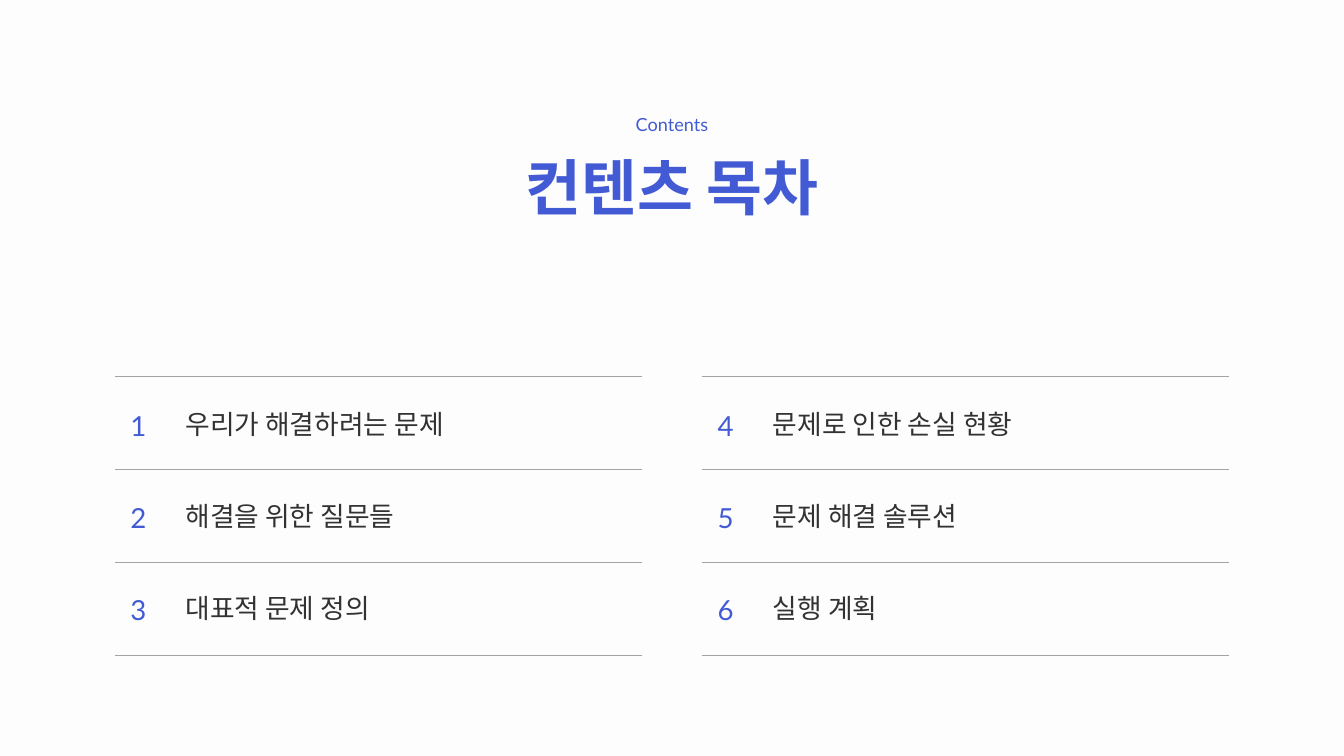
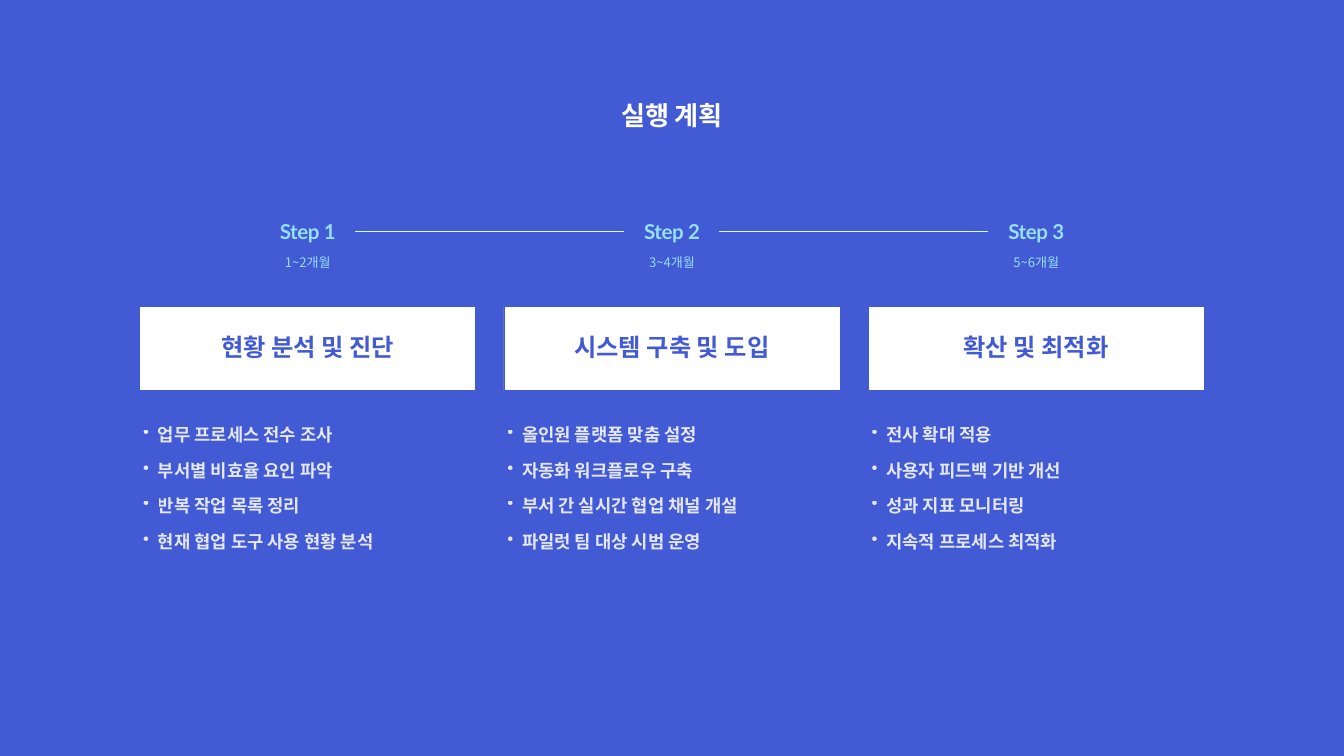
from dataclasses import dataclass

from lxml import etree
from pptx import Presentation
from pptx.dml.color import RGBColor
from pptx.enum.shapes import MSO_CONNECTOR, MSO_SHAPE
from pptx.enum.text import MSO_AUTO_SIZE, PP_ALIGN
from pptx.oxml.ns import qn
from pptx.util import Inches, Pt

LEFT, CENTER = PP_ALIGN.LEFT, PP_ALIGN.CENTER
STRAIGHT, RECTANGLE = MSO_CONNECTOR.STRAIGHT, MSO_SHAPE.RECTANGLE
FIT_SHAPE = MSO_AUTO_SIZE.SHAPE_TO_FIT_TEXT


@dataclass(frozen=True)
class Style:
    """Type style: size and line spacing in points, alpha and tracking optional."""
    font: str
    size: float
    leading: float
    color: str
    bold: bool = False
    align: PP_ALIGN = CENTER
    alpha: int = 100
    tracking: float = 0


class Theme:
    """Colours and type styles shared by the slides."""
    paper, blue, white = "FDFDFD", "425AD4", "FFFFFF"
    ink, sky, rule, link = "323232", "95DFFF", "A3A3A3", "DDFCFF"
    latin, korean = "Lato", "Noto Sans CJK KR"
    hairline = 0.75
    cover_title = Style(korean, 65.1, 78.1, blue, True)
    eyebrow = Style(latin, 19.4, 27.2, blue)
    number = Style(latin, 29.6, 41.5, blue, align=LEFT)
    topic = Style(korean, 28.7, 40.2, ink, align=LEFT)
    title = Style(korean, 28, 39.2, white, True)
    step = Style(latin, 22, 22, sky, True, tracking=-0.4)
    period = Style(korean, 14, 14, sky)
    heading = Style(korean, 26, 31.2, blue, True)
    task = Style(korean, 19, 38, white, True, LEFT, 85)


TOPICS = [
    ["우리가 해결하려는 문제", "해결을 위한 질문들", "대표적 문제 정의"],
    ["문제로 인한 손실 현황", "문제 해결 솔루션", "실행 계획"],
]

STEPS = [
    ("Step 1", "1~2개월", "현황 분석 및 진단",
     ["업무 프로세스 전수 조사", "부서별 비효율 요인 파악",
      "반복 작업 목록 정리", "현재 협업 도구 사용 현황 분석"]),
    ("Step 2", "3~4개월", "시스템 구축 및 도입",
     ["올인원 플랫폼 맞춤 설정", "자동화 워크플로우 구축",
      "부서 간 실시간 협업 채널 개설", "파일럿 팀 대상 시범 운영"]),
    ("Step 3", "5~6개월", "확산 및 최적화",
     ["전사 확대 적용", "사용자 피드백 기반 개선",
      "성과 지표 모니터링", "지속적 프로세스 최적화"]),
]


def rgb(color):
    """Turn a hex string into a colour."""
    return RGBColor.from_string(color)


def add_slide(prs, color):
    """Add a blank slide with a plain background."""
    s = prs.slides.add_slide(prs.slide_layouts[6])
    s.background.fill.solid()
    s.background.fill.fore_color.rgb = rgb(color)
    return s


def add_run(p, text, style):
    """Add one styled run to a paragraph."""
    r = p.add_run()
    r.text = text
    r.font.name, r.font.size, r.font.bold = style.font, Pt(style.size), style.bold
    r.font.color.rgb = rgb(style.color)
    props = r.font._element
    etree.SubElement(props, qn("a:ea"), typeface=style.font)
    if style.tracking:
        props.set("spc", str(round(style.tracking * 100)))
    if style.alpha < 100:
        color = props.find(".//" + qn("a:srgbClr"))
        etree.SubElement(color, qn("a:alpha"), val=str(style.alpha * 1000))


def add_bullet(p):
    """Give a paragraph a round bullet with a hanging indent."""
    p.level = 1
    props = p._p.get_or_add_pPr()
    props.set("marL", str(Inches(0.45)))
    props.set("indent", str(Inches(-0.22)))
    etree.SubElement(props, qn("a:buChar"), char="•")


def add_text(s, x, y, w, h, lines, style, bulleted=False):
    """Add a text box without margins, one paragraph per line."""
    tf = s.shapes.add_textbox(Inches(x), Inches(y), Inches(w), Inches(h)).text_frame
    tf.margin_left = tf.margin_top = tf.margin_right = tf.margin_bottom = 0
    tf.word_wrap = True
    tf.auto_size = FIT_SHAPE
    for i, line in enumerate(lines):
        p = tf.add_paragraph() if i else tf.paragraphs[0]
        if bulleted:
            add_bullet(p)
        p.alignment = style.align
        p.line_spacing = Pt(style.leading)
        add_run(p, line, style)


def add_rule(s, x, y, w, color):
    """Add a horizontal hairline."""
    line = s.shapes.add_connector(STRAIGHT, Inches(x), Inches(y), Inches(x + w), Inches(y))
    line.line.color.rgb = rgb(color)
    line.line.width = Pt(Theme.hairline)
    etree.SubElement(line._element.spPr, qn("a:effectLst"))


def add_card(s, x, y, w, h):
    """Add a white card edged in the background blue."""
    sp = s.shapes.add_shape(RECTANGLE, Inches(x), Inches(y), Inches(w), Inches(h))
    sp.shadow.inherit = False
    sp.fill.solid()
    sp.fill.fore_color.rgb = rgb(Theme.white)
    sp.line.color.rgb = rgb(Theme.blue)
    sp.line.width = Pt(Theme.hairline)


def add_topic_column(s, x, first, topics):
    """Add a ruled column of numbered topics."""
    top, bottom = 5.6, 9.75
    for i in range(len(topics) + 1):
        add_rule(s, x, top + i * (bottom - top) / len(topics), 7.84, Theme.rule)
    for i, topic in enumerate(topics):
        y = 5.99 + 1.37 * i
        add_text(s, x + 0.23, y + 0.01, 0.81, 0.55, [str(first + i)], Theme.number)
        add_text(s, x + 1.05, y, 5.5, 0.56, [topic], Theme.topic)


def add_step_column(s, x, step, period, heading, tasks):
    """Add one step: label, period, headed card and task list."""
    width = 5
    center = x + width / 2
    add_card(s, x, 4.56, width, 1.25)
    add_text(s, center - 0.69, 3.32, 1.38, 0.31, [step], Theme.step)
    add_text(s, center - 1.04, 3.83, 2.08, 0.21, [period], Theme.period)
    add_text(s, center - 2.19, 4.94, 4.38, 0.45, [heading], Theme.heading)
    add_text(s, x - 0.18, 6.1, 4.17, 2.04, tasks, Theme.task, bulleted=True)


def build_contents(prs):
    """Build the contents slide."""
    s = add_slide(prs, Theme.paper)
    add_text(s, 6.53, 1.63, 6.94, 0.36, ["Contents"], Theme.eyebrow)
    add_text(s, 7.21, 2.23, 5.58, 1.1, ["컨텐츠 목차"], Theme.cover_title)
    first = 1
    for i, topics in enumerate(TOPICS):
        add_topic_column(s, 1.71 + 8.74 * i, first, topics)
        first += len(topics)


def build_plan(prs):
    """Build the action plan slide."""
    s = add_slide(prs, Theme.blue)
    add_text(s, 6.29, 1.4, 7.42, 0.54, ["실행 계획"], Theme.title)
    pitch = 5.42
    for i, step in enumerate(STEPS):
        x = 2.08 + pitch * i
        add_step_column(s, x, *step)
        if i < len(STEPS) - 1:
            add_rule(s, x + 3.2, 3.45, 4, Theme.link)


def main():
    """Build and save the presentation."""
    prs = Presentation()
    prs.slide_width, prs.slide_height = Inches(20), Inches(11.25)
    build_contents(prs)
    build_plan(prs)
    prs.save("out.pptx")


if __name__ == "__main__":
    main()
